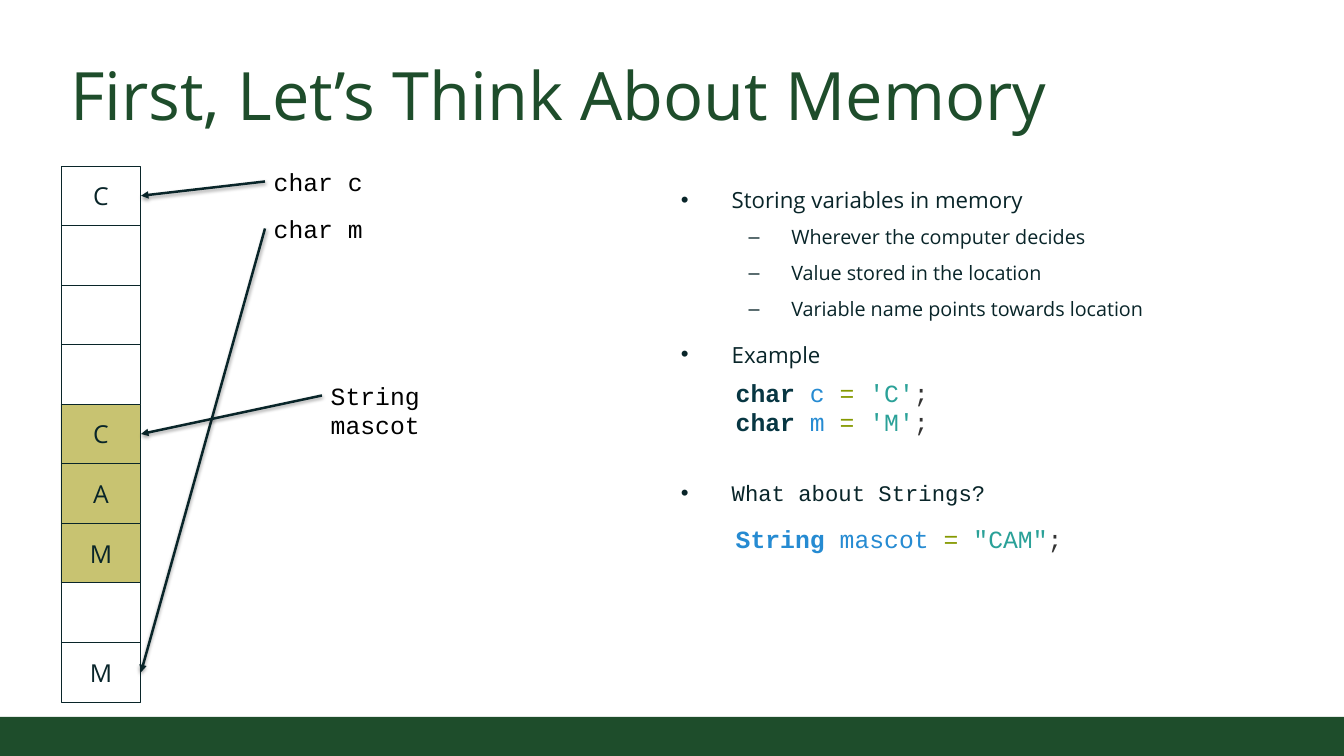
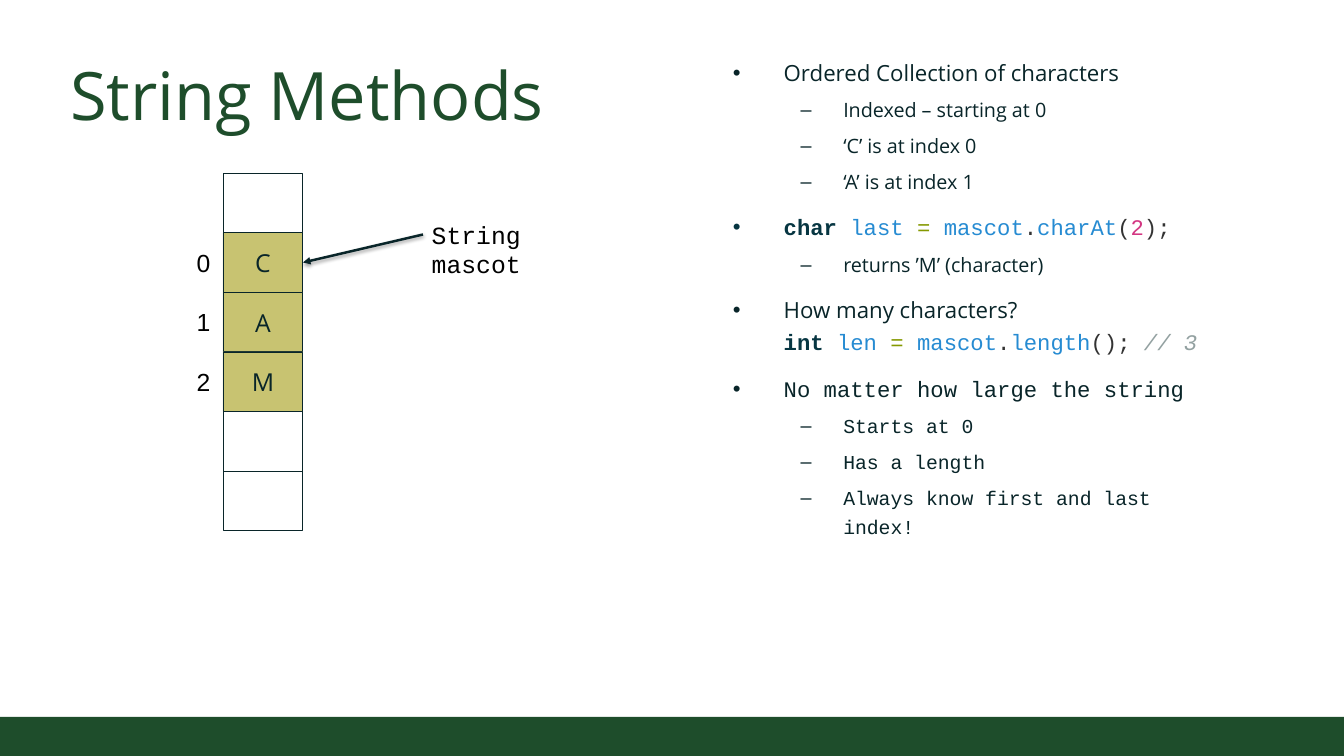
"""Build two slides on how variables and strings sit in memory."""
from pptx import Presentation
from pptx.dml.color import RGBColor
from pptx.enum.shapes import MSO_CONNECTOR, MSO_SHAPE
from pptx.enum.text import MSO_ANCHOR, MSO_AUTO_SIZE, PP_ALIGN
from pptx.oxml import parse_xml
from pptx.oxml.ns import nsdecls, qn
from pptx.util import Pt

PX = 10280
GREEN = RGBColor(0x1E, 0x4D, 0x2B)
INK = RGBColor(0x09, 0x25, 0x29)
GOLD = RGBColor(0xC8, 0xC3, 0x71)
BLACK = RGBColor(0x00, 0x00, 0x00)
NAVY = RGBColor(0x07, 0x36, 0x42)
BLUE = RGBColor(0x26, 0x8B, 0xD2)
OLIVE = RGBColor(0x85, 0x99, 0x00)
TEAL = RGBColor(0x2A, 0xA1, 0x98)
CHARCOAL = RGBColor(0x33, 0x33, 0x33)
PINK = RGBColor(0xD3, 0x36, 0x82)
GRAY = RGBColor(0x93, 0xA1, 0xA1)
SANS, MONO, DIGITS = "Open Sans", "Courier New", "Arial"

STYLES = {
    "plain": (SANS, INK, False, False),
    "mono": (MONO, INK, False, False),
    "label": (MONO, BLACK, False, False),
    "index": (DIGITS, BLACK, False, False),
    "keyword": (MONO, NAVY, True, False),
    "type": (MONO, BLUE, True, False),
    "name": (MONO, BLUE, False, False),
    "operator": (MONO, OLIVE, False, False),
    "literal": (MONO, TEAL, False, False),
    "mark": (MONO, CHARCOAL, False, False),
    "number": (MONO, PINK, False, False),
    "comment": (MONO, GRAY, False, True),
}


def add_runs(paragraph, runs, size):
    for text, style in runs:
        if text == "\n":
            paragraph.add_line_break()
            continue
        run = paragraph.add_run()
        run.text = text
        font = run.font
        font.size = Pt(size)
        font.name, font.color.rgb, font.bold, font.italic = STYLES[style]


def add_text(slide, left, top, width, height, lines, wrap=True):
    box = slide.shapes.add_textbox(left, top, width, height)
    frame = box.text_frame
    frame.word_wrap = wrap
    for number, runs in enumerate(lines):
        paragraph = frame.add_paragraph() if number else frame.paragraphs[0]
        add_runs(paragraph, runs, 20)
    return box


deck = Presentation()
deck.slide_width, deck.slide_height = 1344 * PX, 756 * PX
layout = deck.slide_layouts[1]

text_styles = deck.slide_master.element.find(qn("p:txStyles"))
levels = [
    ("titleStyle", 1, 0, 0, 100, 0, 0, None, 54, GREEN),
    ("bodyStyle", 1, 0.57, -0.57, 120, 6, 6, "\u2022", 18, INK),
    ("bodyStyle", 2, 1.24, -0.48, 120, 0, 6, "\u2013", 16, INK),
]
for style, level, margin, indent, spacing, before, after, bullet, size, color in levels:
    bullet_xml = (f'<a:buFont typeface="{DIGITS}"/><a:buChar char="{bullet}"/>'
                  if bullet else "<a:buNone/>")
    tag = f"a:lvl{level}pPr"
    old = text_styles.find(f"{qn('p:' + style)}/{qn(tag)}")
    old.getparent().replace(old, parse_xml(
        f'<{tag} {nsdecls("a")} marL="{int(margin * 914400)}" '
        f'indent="{int(indent * 914400)}" algn="l">'
        f'<a:lnSpc><a:spcPct val="{spacing * 1000}"/></a:lnSpc>'
        f'<a:spcBef><a:spcPts val="{before * 100}"/></a:spcBef>'
        f'<a:spcAft><a:spcPts val="{after * 100}"/></a:spcAft>{bullet_xml}'
        f'<a:defRPr sz="{size * 100}"><a:solidFill><a:srgbClr val="{color}"/></a:solidFill>'
        f'<a:latin typeface="{SANS}"/></a:defRPr></{tag}>'))

layout_title, layout_body = layout.placeholders[0], layout.placeholders[1]
layout_title.left, layout_title.top = 61 * PX, 44 * PX
layout_title.width, layout_title.height = 1222 * PX, 99 * PX
for holder, anchor in ((layout_title, MSO_ANCHOR.BOTTOM), (layout_body, MSO_ANCHOR.TOP)):
    frame = holder.text_frame
    frame.vertical_anchor = anchor
    frame.auto_size = MSO_AUTO_SIZE.NONE
    frame.margin_left = frame.margin_right = 9 * PX
    frame.margin_top = frame.margin_bottom = 9 * PX

memory = {
    "title": "First, Let\u2019s Think About Memory",
    "body": (672, 172, 611, 392),
    "points": [
        (0, [("Storing variables in memory", "plain")]),
        (1, [("Wherever the computer decides", "plain")]),
        (1, [("Value stored in the location", "plain")]),
        (1, [("Variable name points towards location", "plain")]),
        (0, [("Example", "plain")]),
        (0, [("What about Strings?", "mono")]),
    ],
    "gap_before": {5: 80},
    "column": (61, 166, 702),
    "cells": ["C", "", "", "", "C", "A", "M", "", "M"],
    "string_cells": (4, 5, 6),
    "indexed": False,
    "variables": [
        ("char c", 265, 162, 114, False, 0),
        ("char m", 265, 209, 114, False, 8),
        ("String mascot", 322, 376, 209, True, 4),
    ],
    "code": [
        ((727, 373, 212, 68), [
            [("char ", "keyword"), ("c ", "name"), ("= ", "operator"),
             ("'C'", "literal"), (";", "mark")],
            [("char ", "keyword"), ("m ", "name"), ("= ", "operator"),
             ("'M'", "literal"), (";", "mark")],
        ]),
        ((727, 519, 500, 39), [
            [("String ", "type"), ("mascot ", "name"), ("= ", "operator"),
             ('"CAM"', "literal"), (";", "mark")],
        ]),
    ],
}
methods = {
    "title": "String Methods",
    "body": (724, 45, 514, 476),
    "points": [
        (0, [("Ordered Collection of characters", "plain")]),
        (1, [("Indexed \u2013 starting at 0", "plain")]),
        (1, [("\u2018C\u2019 is at index 0", "plain")]),
        (1, [("\u2018A\u2019 is at index 1", "plain")]),
        (0, [("char ", "keyword"), ("last ", "name"), ("= ", "operator"),
             ("mascot", "name"), (".", "mark"), ("charAt", "name"),
             ("(", "mark"), ("2", "number"), (");", "mark")]),
        (1, [("returns \u2019M\u2019 (character)", "plain")]),
        (0, [("How many characters?", "plain"), ("\n", "plain"),
             ("int ", "keyword"), ("len ", "name"), ("= ", "operator"),
             ("mascot", "name"), (".", "mark"), ("length", "name"),
             ("(); ", "mark"), ("// 3", "comment")]),
        (0, [("No matter how large the string", "mono")]),
        (1, [("Starts at 0", "mono")]),
        (1, [("Has a length", "mono")]),
        (1, [("Always know first and last index!", "mono")]),
    ],
    "gap_before": {},
    "column": (223, 173, 531),
    "cells": ["", "C", "A", "M", "", ""],
    "string_cells": (1, 2, 3),
    "indexed": True,
    "variables": [("String mascot", 423, 215, 209, True, 1)],
    "code": [],
}

for content in (memory, methods):
    slide = deck.slides.add_slide(layout)
    slide.shapes.title.text_frame.paragraphs[0].add_run().text = content["title"]

    body = slide.placeholders[1]
    body.left, body.top, body.width, body.height = (n * PX for n in content["body"])
    for number, (level, runs) in enumerate(content["points"]):
        frame = body.text_frame
        point = frame.add_paragraph() if number else frame.paragraphs[0]
        point.level = level
        if number in content["gap_before"]:
            point.space_before = Pt(content["gap_before"][number])
        add_runs(point, runs, 16 if level else 18)

    left, top, bottom = content["column"]
    cell_height = (bottom - top) * PX // len(content["cells"])
    cells = []
    for row, letter in enumerate(content["cells"]):
        cell = slide.shapes.add_shape(MSO_SHAPE.RECTANGLE, left * PX,
                                      top * PX + row * cell_height, 80 * PX, cell_height)
        cell.shadow.inherit = False
        cell.line.color.rgb = INK
        cell.line.width = Pt(0.75)
        if row in content["string_cells"]:
            cell.fill.solid()
            cell.fill.fore_color.rgb = GOLD
        else:
            cell.fill.background()
        if letter:
            cell.text_frame.vertical_anchor = MSO_ANCHOR.MIDDLE
            cell.text_frame.paragraphs[0].alignment = PP_ALIGN.CENTER
            add_runs(cell.text_frame.paragraphs[0], [(letter, "plain")], 20)
        cells.append(cell)

    if content["indexed"]:
        for index, row in enumerate(content["string_cells"]):
            add_text(slide, 188 * PX, cells[row].top + (cell_height - 39 * PX) // 2,
                     28 * PX, 39 * PX, [[(str(index), "index")]])

    for name, left, top, width, wrap, row in content["variables"]:
        label = add_text(slide, left * PX, top * PX, width * PX, 39 * PX,
                         [[(name, "label")]], wrap)
        pointer = slide.shapes.add_connector(MSO_CONNECTOR.STRAIGHT, 0, 0, 0, 0)
        pointer.begin_connect(label, 1)
        pointer.end_connect(cells[row], 3)
        pointer.line.color.rgb = INK
        pointer.line.width = Pt(2)
        pointer.line._get_or_add_ln().append(
            parse_xml(f'<a:tailEnd {nsdecls("a")} type="triangle"/>'))
        pointer._element.spPr.append(parse_xml(
            f'<a:effectLst {nsdecls("a")}><a:outerShdw blurRad="{Pt(3.1)}" '
            f'dist="{Pt(1.6)}" dir="5400000" rotWithShape="0">'
            f'<a:srgbClr val="{BLACK}"><a:alpha val="38000"/></a:srgbClr>'
            '</a:outerShdw></a:effectLst>'))

    for place, lines in content["code"]:
        add_text(slide, *(n * PX for n in place), lines)

band = slide.shapes.add_shape(MSO_SHAPE.RECTANGLE, 0, 717 * PX, 1344 * PX, 39 * PX)
band.shadow.inherit = False
band.fill.solid()
band.fill.fore_color.rgb = GREEN
band.line.fill.background()
layout.shapes._spTree.append(band._element)

deck.save("out.pptx")
